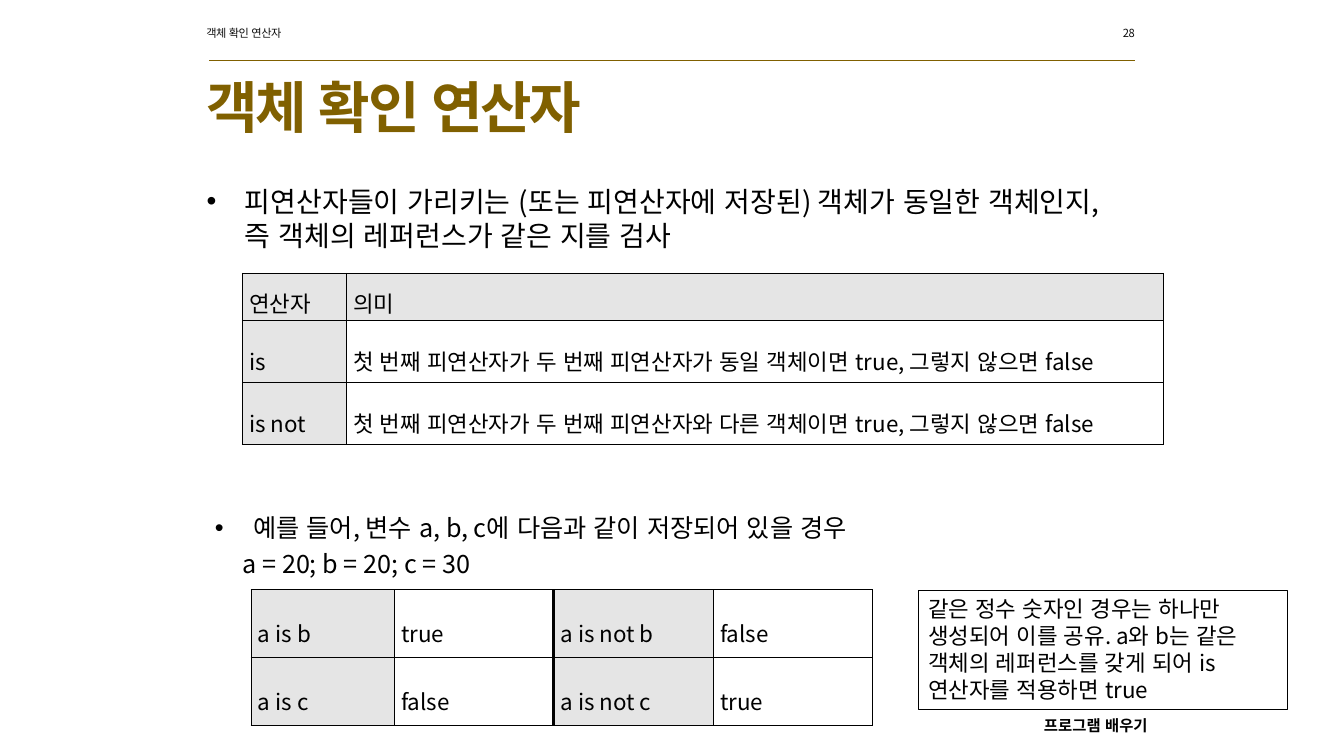
from lxml.etree import SubElement
from pptx import Presentation
from pptx.dml.color import RGBColor
from pptx.enum.shapes import MSO_CONNECTOR, MSO_SHAPE
from pptx.enum.text import MSO_ANCHOR, MSO_AUTO_SIZE, PP_ALIGN
from pptx.oxml.ns import qn
from pptx.util import Cm, Pt

FONT = "Noto Sans CJK KR"
BLACK = RGBColor(0x00, 0x00, 0x00)
DARK = RGBColor(0x0D, 0x0D, 0x0D)
GOLD = RGBColor(0x80, 0x60, 0x00)
GRAY = RGBColor(0xE5, 0xE5, 0xE5)

TITLE = "객체 확인 연산자"
PAGE_NUMBER = "28"
FOOTER = "프로그램 배우기"
DEFINITION = "피연산자들이 가리키는 (또는 피연산자에 저장된) 객체가 동일한 객체인지, 즉 객체의 레퍼런스가 같은 지를 검사"
EXAMPLE = "예를 들어, 변수 a, b, c에 다음과 같이 저장되어 있을 경우"
ASSIGNMENT = "a = 20; b = 20; c = 30"
NOTE = "같은 정수 숫자인 경우는 하나만 생성되어 이를 공유. a와 b는 같은 객체의 레퍼런스를 갖게 되어 is 연산자를 적용하면 true"

OPERATORS = {
    "rows": [
        ("연산자", "의미"),
        ("is", "첫 번째 피연산자가 두 번째 피연산자가 동일 객체이면 true, 그렇지 않으면 false"),
        ("is not", "첫 번째 피연산자가 두 번째 피연산자와 다른 객체이면 true, 그렇지 않으면 false"),
    ],
    "position": (6.1, 6.88),
    "widths": (2.62, 20.6),
    "heights": (1.19, 1.56, 1.56),
    "shaded_columns": (0,),
    "header": True,
    "divider": None,
}
RESULTS = {
    "rows": [
        ("a is b", "true", "a is not b", "false"),
        ("a is c", "false", "a is not c", "true"),
    ],
    "position": (6.32, 14.85),
    "widths": (3.61, 4.02, 4.02, 4.02),
    "heights": (1.71, 1.71),
    "shaded_columns": (0, 2),
    "header": False,
    "divider": 2,
}


def write(paragraph, text, size, color=BLACK, bold=False, spacing=None,
          align=PP_ALIGN.LEFT, line_spacing=None, space_before=0, bullet=None, indent=0):
    properties = paragraph._p.get_or_add_pPr()
    hanging = indent if bullet else 0
    properties.set("marL", str(Cm(indent)))
    properties.set("indent", str(-Cm(hanging)))
    if bullet:
        SubElement(properties, qn("a:buFont"), typeface="Arial")
        SubElement(properties, qn("a:buChar"), char=bullet)
    else:
        SubElement(properties, qn("a:buNone"))
    paragraph.alignment = align
    paragraph.space_before = Pt(space_before)
    if line_spacing:
        paragraph.line_spacing = line_spacing
    run = paragraph.add_run()
    run.text = text
    run.font.size = Pt(size)
    run.font.bold = bold
    run.font.color.rgb = color
    run.font.name = FONT
    run_properties = run._r.get_or_add_rPr()
    run_properties.set("lang", "ko-KR")
    SubElement(run_properties, qn("a:ea"), typeface=FONT)
    if spacing:
        run_properties.set("spc", str(int(spacing * 100)))


def place(shape, left, top, width, height):
    shape.left, shape.top, shape.width, shape.height = map(Cm, (left, top, width, height))
    shape.text_frame.word_wrap = True
    shape.text_frame.auto_size = MSO_AUTO_SIZE.NONE
    return shape.text_frame.paragraphs[0]


def add_label(slide, box, text, size, **text_format):
    label = slide.shapes.add_textbox(*map(Cm, box))
    write(place(label, *box), text, size, **text_format)


def set_borders(cell, widths):
    properties = cell._tc.get_or_add_tcPr()
    for side, width in widths.items():
        line = SubElement(properties, qn("a:ln" + side), w=str(Pt(width)))
        fill = SubElement(line, qn("a:solidFill"))
        SubElement(fill, qn("a:srgbClr"), val=str(BLACK))


def add_grid(slide, content):
    rows, widths, heights = content["rows"], content["widths"], content["heights"]
    frame = slide.shapes.add_table(
        len(rows), len(widths), *map(Cm, content["position"]), Cm(sum(widths)), Cm(sum(heights)))
    table = frame.table
    table.first_row = table.horz_banding = False
    for column, width in zip(table.columns, widths):
        column.width = Cm(width)
    for row, height in zip(table.rows, heights):
        row.height = Cm(height)
    divider = content["divider"]
    for row_index, values in enumerate(rows):
        header = content["header"] and row_index == 0
        for column_index, text in enumerate(values):
            cell = table.cell(row_index, column_index)
            cell.vertical_anchor = MSO_ANCHOR.MIDDLE
            cell.margin_left = cell.margin_right = Cm(0.18)
            cell.margin_top = cell.margin_bottom = Cm(0.05)
            write(cell.text_frame.paragraphs[0], text, 16,
                  align=PP_ALIGN.JUSTIFY, line_spacing=1.35 if header else 1.6)
            set_borders(cell, {
                "L": 1.98 if column_index == divider else 0.28,
                "R": 1.98 if column_index + 1 == divider else 0.28,
                "T": 0.28,
                "B": 0.28,
            })
            if header or column_index in content["shaded_columns"]:
                cell.fill.solid()
                cell.fill.fore_color.rgb = GRAY
            else:
                cell.fill.background()


def main():
    presentation = Presentation()
    presentation.slide_width, presentation.slide_height = Cm(33.87), Cm(19.05)
    slide = presentation.slides.add_slide(presentation.slide_layouts[3])
    title, definition, example = slide.placeholders

    add_label(slide, (4.95, 0.53, 4.39, 0.6), TITLE, 8, color=DARK, spacing=-0.3)
    add_label(slide, (24.46, 0.53, 4.39, 0.6), PAGE_NUMBER, 8, color=DARK, spacing=-0.3,
              align=PP_ALIGN.RIGHT)
    rule = slide.shapes.add_connector(
        MSO_CONNECTOR.STRAIGHT, Cm(5.27), Cm(1.52), Cm(28.6), Cm(1.52))
    rule.line.color.rgb = GOLD
    rule.line.width = Pt(0.25)
    SubElement(rule._element.spPr, qn("a:effectLst"))

    write(place(title, 4.95, 1.96, 19.43, 1.63), TITLE, 40, color=GOLD, bold=True,
          spacing=-1.5, line_spacing=0.9)
    title.text_frame.vertical_anchor = MSO_ANCHOR.MIDDLE
    write(place(definition, 4.95, 4.52, 23.1, 2.36), DEFINITION, 20, bullet="•", indent=0.97)
    write(place(example, 5.16, 12.78, 23.52, 2.57), EXAMPLE, 18, bullet="•", indent=0.97)
    write(example.text_frame.add_paragraph(), ASSIGNMENT, 18, space_before=4, indent=0.7)

    add_grid(slide, OPERATORS)
    add_grid(slide, RESULTS)
    add_label(slide, (26.06, 17.91, 3.58, 0.74), FOOTER, 11, bold=True)

    note_box = (23.14, 14.88, 9.32, 3.0)
    note = slide.shapes.add_shape(MSO_SHAPE.RECTANGLE, *map(Cm, note_box))
    note.shadow.inherit = False
    note.fill.background()
    note.line.color.rgb = BLACK
    note.line.width = Pt(0.75)
    write(place(note, *note_box), NOTE, 16)
    note.text_frame.vertical_anchor = MSO_ANCHOR.TOP

    presentation.save("out.pptx")


if __name__ == "__main__":
    main()
